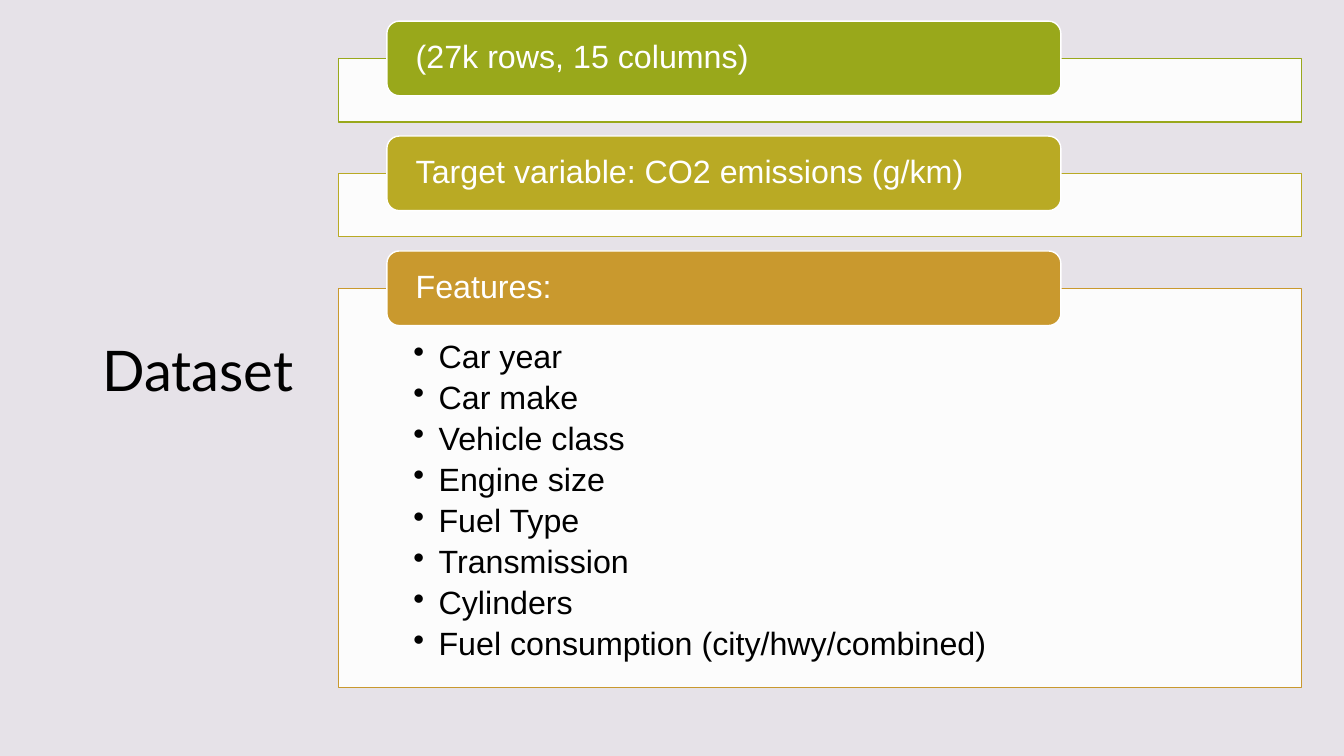
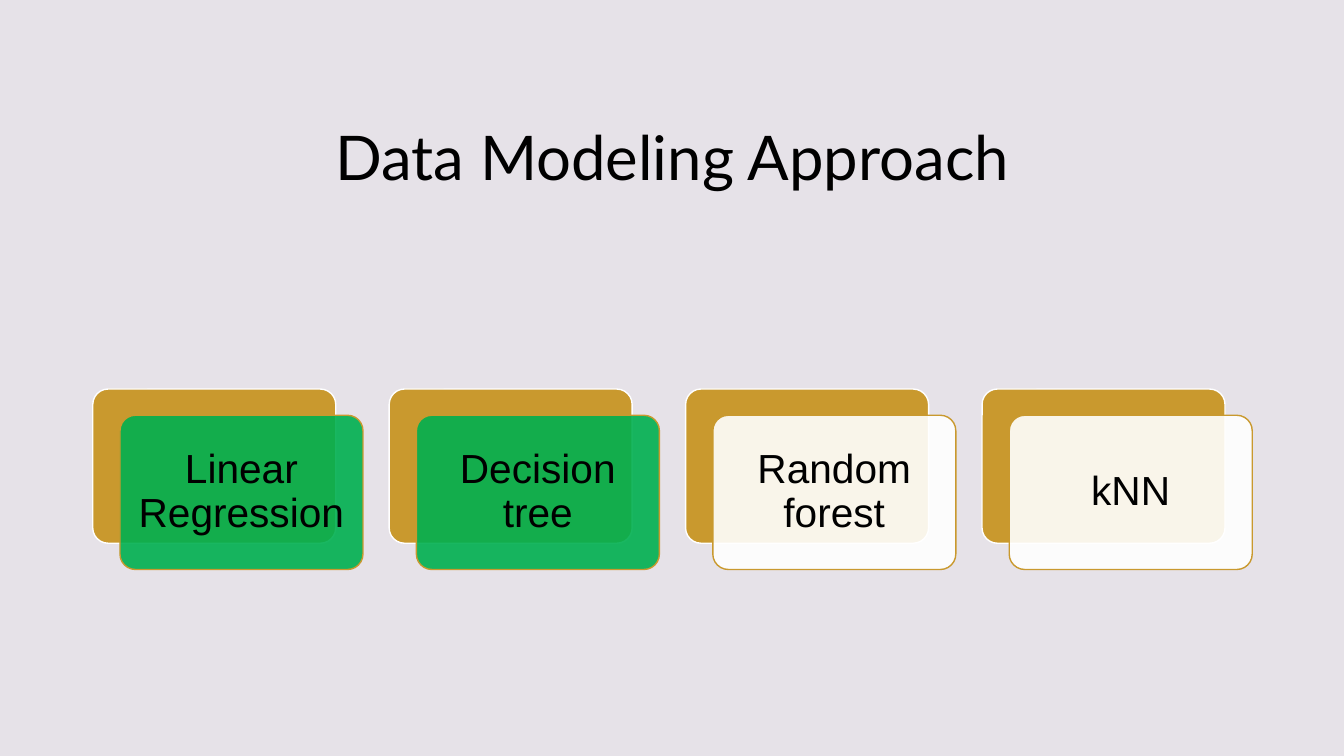
from pptx import Presentation
from pptx.dml.color import RGBColor
from pptx.enum.shapes import MSO_SHAPE
from pptx.enum.text import MSO_ANCHOR, PP_ALIGN
from pptx.oxml.ns import qn
from pptx.oxml.xmlchemy import OxmlElement
from pptx.util import Inches, Pt

RECT, ROUNDED = MSO_SHAPE.RECTANGLE, MSO_SHAPE.ROUNDED_RECTANGLE
TOP, MIDDLE = MSO_ANCHOR.TOP, MSO_ANCHOR.MIDDLE
LEFT, CENTER = PP_ALIGN.LEFT, PP_ALIGN.CENTER

COLORS = {
    "background": "E6E2E8",
    "olive": "99A81B",
    "mustard": "B9AA24",
    "ochre": "C9992E",
    "green": "00B050",
    "white": "FFFFFF",
    "black": "000000",
}
TITLE = {"size": 40, "font": "Lato", "color": "black"}
HEADING = {"size": 23, "font": "Arial", "color": "white", "line_spacing": 0.9}
FEATURE = {**HEADING, "color": "black", "space_after": 4.5, "bullet": "•"}
MODEL = {**FEATURE, "size": 29, "space_after": 0, "bullet": None, "align": CENTER}

SECTIONS = [
    ("(27k rows, 15 columns)", "olive", 0.63, []),
    ("Target variable: CO2 emissions (g/km)", "mustard", 0.63, []),
    ("Features:", "ochre", 3.96, [
        "Car year", "Car make", "Vehicle class", "Engine size", "Fuel Type",
        "Transmission", "Cylinders", "Fuel consumption (city/hwy/combined)",
    ]),
]
MODELS = [
    ("Linear Regression", "green"),
    ("Decision tree", "green"),
    ("Random forest", "white"),
    ("kNN", "white"),
]


def rgb(name):
    return RGBColor.from_string(COLORS[name])


def write(shape, lines, style, insets=(0.1, 0.05, 0.1, 0.05), anchor=MIDDLE):
    frame = shape.text_frame
    sides = ("margin_left", "margin_top", "margin_right", "margin_bottom")
    settings = dict(zip(sides, map(Inches, insets)))
    settings.update(word_wrap=True, vertical_anchor=anchor)
    for key, value in settings.items():
        setattr(frame, key, value)
    for i, line in enumerate(lines):
        paragraph = frame.add_paragraph() if i else frame.paragraphs[0]
        paragraph.alignment = style.get("align", LEFT)
        paragraph.line_spacing = style.get("line_spacing", 1.0)
        paragraph.space_after = Pt(style.get("space_after", 0))
        if style.get("bullet"):
            properties = paragraph._p.get_or_add_pPr()
            properties.set("marL", str(Inches(0.25)))
            properties.set("indent", str(-Inches(0.25)))
            bullet = OxmlElement("a:buChar")
            bullet.set("char", style["bullet"])
            properties.append(bullet)
        run = paragraph.add_run()
        run.text = line
        run.font.size = Pt(style["size"])
        run.font.name = style["font"]
        run.font.color.rgb = rgb(style["color"])


def add_panel(slide, kind, box, fill, line, opacity=100, corner=None):
    panel = slide.shapes.add_shape(kind, *map(Inches, box))
    panel.shadow.inherit = False
    panel.fill.solid()
    panel.fill.fore_color.rgb = rgb(fill)
    panel.line.color.rgb = rgb(line)
    panel.line.width = Pt(1)
    if corner:
        panel.adjustments[0] = corner
    if opacity < 100:
        alpha = OxmlElement("a:alpha")
        alpha.set("val", str(opacity * 1000))
        solid = panel.element.spPr.find(qn("a:solidFill"))
        solid.find(qn("a:srgbClr")).append(alpha)
    return panel


def add_titled_slide(prs, title, box, **changes):
    slide = prs.slides.add_slide(prs.slide_layouts[6])
    write(slide.shapes.add_textbox(*map(Inches, box)), [title], {**TITLE, **changes})
    return slide


def build_dataset(prs):
    slide = add_titled_slide(prs, "Dataset", (0.92, 0.61, 3.67, 6.1))
    left, top, width, gap = 3.36, 0.58, 9.55, 0.51
    tab_height, tab_rise = 0.74, 0.37
    for heading, color, height, features in SECTIONS:
        body = add_panel(slide, RECT, (left, top, width, height), "white", color, 90)
        if features:
            write(body, features, FEATURE, (0.74, 0.52, 0.74, 0.18), TOP)
        tab_box = (left + width * 0.05, top - tab_rise, width * 0.7, tab_height)
        tab = add_panel(slide, ROUNDED, tab_box, color, "white")
        write(tab, [heading], HEADING, (0.25, 0, 0.25, 0))
        top += height + gap


def build_modeling(prs):
    slide = add_titled_slide(prs, "Data Modeling Approach", (1.2, 0.42, 10.94, 2.25),
                             size=44, align=CENTER)
    left, top, width, height, pitch = 0.92, 3.86, 2.41, 1.53, 2.94
    shift_x, shift_y = 0.27, 0.26
    for column, (model, fill) in enumerate(MODELS):
        x = left + column * pitch
        add_panel(slide, ROUNDED, (x, top, width, height), "ochre", "white", corner=0.1)
        card_box = (x + shift_x, top + shift_y, width, height)
        card = add_panel(slide, ROUNDED, card_box, fill, "ochre", 90, 0.1)
        write(card, [model], MODEL, (0.12,) * 4)


def main():
    prs = Presentation()
    prs.slide_width, prs.slide_height = Inches(13.33), Inches(7.5)
    backdrop = prs.slide_master.background.fill
    backdrop.solid()
    backdrop.fore_color.rgb = rgb("background")
    build_dataset(prs)
    build_modeling(prs)
    prs.save("out.pptx")


if __name__ == "__main__":
    main()
